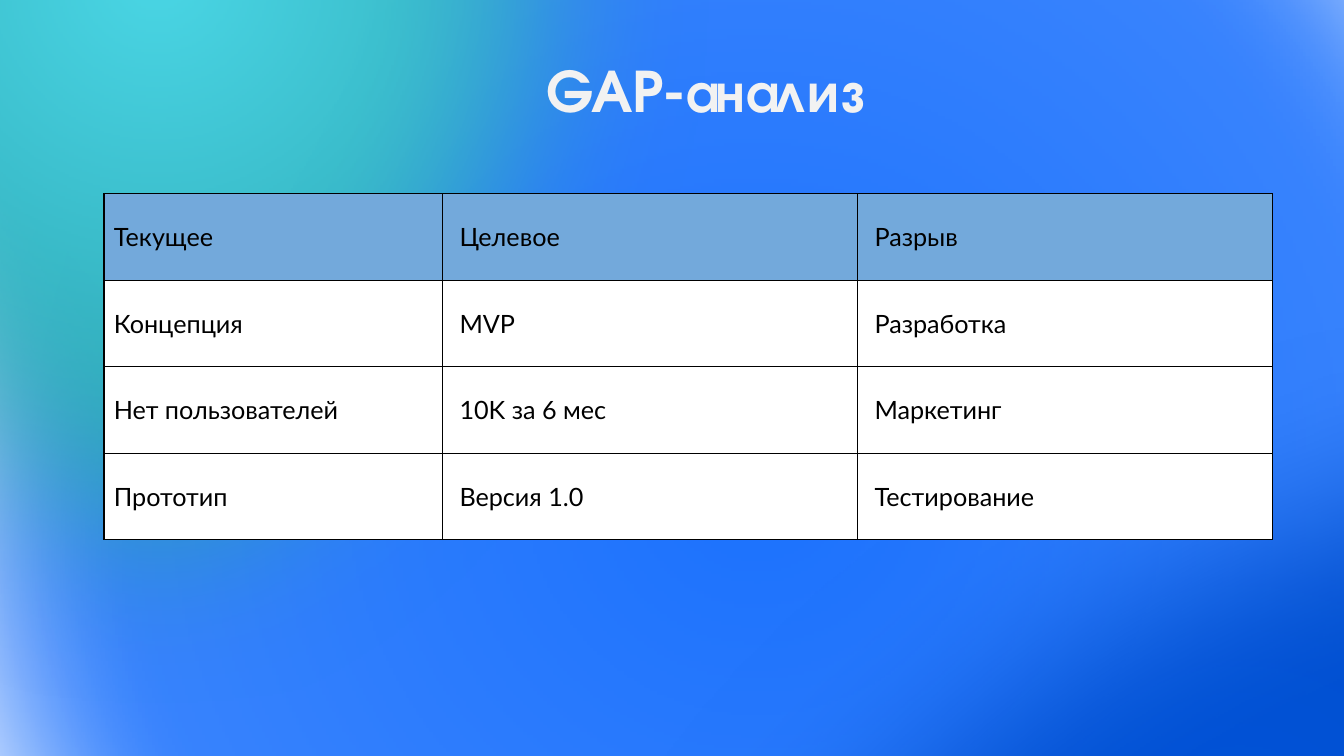
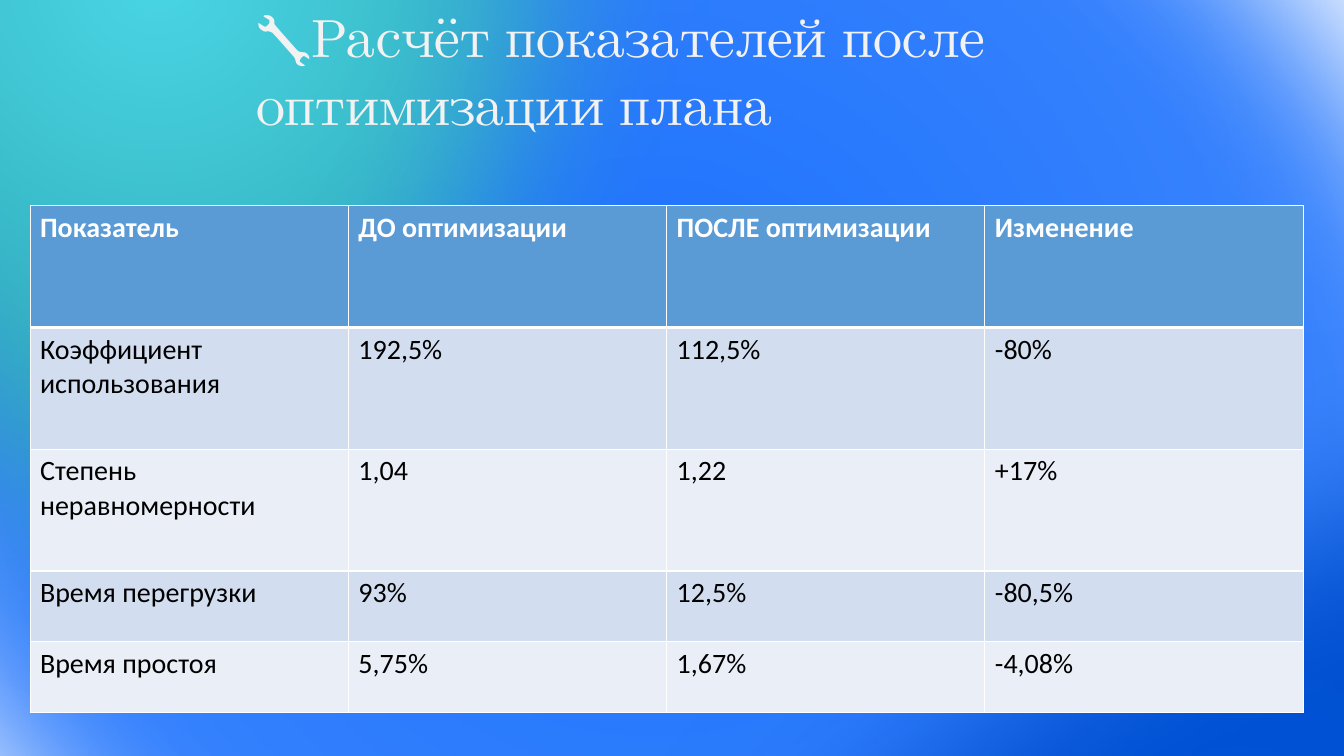
from lxml.etree import SubElement
from pptx import Presentation
from pptx.dml.color import RGBColor
from pptx.enum.shapes import MSO_SHAPE
from pptx.enum.text import MSO_ANCHOR, MSO_AUTO_SIZE, PP_ALIGN
from pptx.oxml import parse_xml
from pptx.oxml.ns import nsdecls, qn
from pptx.util import Cm, Pt

COLORS = {
    "title": "F2F2F2", "white": "FFFFFF", "black": "000000",
    "gap_head": "73A9DB", "plan_head": "5B9BD5",
    "band_dark": "D2DEEF", "band_light": "EAEFF7",
    "blue": "1B71FD", "blue_edge": "72A7FE",
    "teal": "4AD6E5", "teal_edge": "137C87",
    "navy": "156EFF", "navy_mid": "0153D9", "navy_edge": "0046B8",
}
TITLE_FONT = {"name": "TeX Gyre Adventor", "size": Pt(40), "bold": True}
SOFT_EDGE = Cm(4.4)

BLUE_STOPS = [(0, "blue"), (100, "blue_edge")]
# Box (left, top, width, height in cm), rotation, gradient stops
TEAL_GLOW = ((-15.7, -15.16, 39.37, 29.06), 270,
             [(0, "teal"), (100, "teal_edge")])
NAVY_GLOW = ((11.86, 9.19, 38.81, 25.25), 331.6,
             [(0, "navy"), (0, "navy_mid"), (85, "navy_edge")])

GAP_ROWS = [
    ["Текущее", "Целевое", "Разрыв"],
    ["Концепция", "MVP", "Разработка"],
    ["Нет пользователей", "10K за 6 мес", "Маркетинг"],
    ["Прототип", "Версия 1.0", "Тестирование"],
]
PLAN_ROWS = [
    ["Показатель", "ДО оптимизации", "ПОСЛЕ оптимизации", "Изменение"],
    ["Коэффициент использования", "192,5%", "112,5%", "-80%"],
    ["Степень неравномерности", "1,04", "1,22", "+17%"],
    ["Время перегрузки", "93%", "12,5%", "-80,5%"],
    ["Время простоя", "5,75%", "1,67%", "-4,08%"],
]


def rgb(name):
    return RGBColor.from_string(COLORS[name])


def set_attrs(obj, values):
    for name, value in values.items():
        setattr(obj, name, value)


def format_font(font, values, color):
    set_attrs(font, values)
    font.color.rgb = rgb(color)


def add_glow(slide, box, rotation, stops):
    """Add an ellipse with a radial gradient and a soft edge."""
    sp = slide.shapes.add_shape(MSO_SHAPE.OVAL, *map(Cm, box))
    sp.rotation = rotation
    sp.line.fill.background()
    sp.shadow.inherit = False
    stop_xml = "".join(
        f'<a:gs pos="{pos * 1000}"><a:srgbClr val="{COLORS[color]}"/></a:gs>'
        for pos, color in stops)
    gradient = parse_xml(
        f'<a:gradFill {nsdecls("a")} rotWithShape="1"><a:gsLst>{stop_xml}</a:gsLst>'
        '<a:path path="circle"><a:fillToRect l="50000" t="50000" r="50000" b="50000"/>'
        '</a:path></a:gradFill>')
    props = sp._element.spPr
    props.find(qn("a:prstGeom")).addnext(gradient)
    SubElement(props.find(qn("a:effectLst")), qn("a:softEdge"), rad=str(SOFT_EDGE))


def add_slide(prs, title, title_box, blue_box):
    slide = prs.slides.add_slide(prs.slide_layouts[5])
    for glow in ((blue_box, 25.8, BLUE_STOPS), TEAL_GLOW, NAVY_GLOW):
        add_glow(slide, *glow)
    sp = slide.shapes.title
    slide.shapes._spTree.append(sp._element)  # bring the title to the front
    set_attrs(sp, dict(zip(("left", "top", "width", "height"), map(Cm, title_box))))
    tf = sp.text_frame
    set_attrs(tf, {"text": title, "word_wrap": True,
                   "auto_size": MSO_AUTO_SIZE.SHAPE_TO_FIT_TEXT,
                   "vertical_anchor": MSO_ANCHOR.TOP})
    p = tf.paragraphs[0]
    p.alignment = PP_ALIGN.LEFT
    for r in p.runs:
        format_font(r.font, TITLE_FONT, "title")
    return slide


def set_borders(cell, color, widths):
    """Draw the left, right, top and bottom borders, widths in points."""
    props = cell._tc.get_or_add_tcPr()
    for i, (side, width) in enumerate(zip("LRTB", widths)):
        props.insert(i, parse_xml(
            f'<a:ln{side} {nsdecls("a")} w="{Pt(width)}"><a:solidFill>'
            f'<a:srgbClr val="{COLORS[color]}"/></a:solidFill></a:ln{side}>'))


def add_table(slide, origin, rows, col_widths, row_heights, style):
    """Add a table; style holds fills, fonts, border and cell formats."""
    frame = slide.shapes.add_table(
        len(rows), len(col_widths), *map(Cm, origin),
        Cm(sum(col_widths)), Cm(sum(row_heights)))
    table = frame.table
    for column, width in zip(table.columns, col_widths):
        column.width = Cm(width)
    for row, height in zip(table.rows, row_heights):
        row.height = Cm(height)
    for i, texts in enumerate(rows):
        head = i == 0
        fill = style["head_fill"] if head else style["bands"][(i - 1) % len(style["bands"])]
        top = style["head_rule"] if i == 1 else 1
        bottom = style["head_rule"] if head else 1
        for j, text in enumerate(texts):
            cell = table.cell(i, j)
            cell.text = text
            set_attrs(cell, style["cell"])
            if j == 0:
                cell.margin_left = Cm(0.25)
            cell.fill.solid()
            cell.fill.fore_color.rgb = rgb(fill)
            set_borders(cell, style["border"], (1, 1, top, bottom))
            font = cell.text_frame.paragraphs[0].runs[0].font
            format_font(font, {**style["font"], "bold": head and style["head_bold"]},
                        style["head_color"] if head else "black")


def add_gap_slide(prs):
    slide = add_slide(prs, "GAP-анализ", (13.51, 1.3, 20.37, 1.96),
                      (-5.21, -14.66, 48.56, 53.64))
    style = {
        "head_fill": "gap_head", "head_color": "black", "head_bold": False,
        "head_rule": 1, "bands": ["white"], "border": "black",
        "font": {"name": "Lato", "size": Pt(18)},
        "cell": {"vertical_anchor": MSO_ANCHOR.MIDDLE,
                 "margin_left": Cm(0.43), "margin_right": Cm(0.43),
                 "margin_top": Cm(0.25), "margin_bottom": Cm(0.25)},
    }
    add_table(slide, (2.62, 4.88), GAP_ROWS, [8.53, 10.46, 10.46],
              [2.18] * len(GAP_ROWS), style)


def add_plan_slide(prs):
    slide = add_slide(prs, "🔧Расчёт показателей после\vоптимизации плана",
                      (6.2, -0.08, 29.06, 3.68), (-11.28, -14.22, 55.55, 48.26))
    style = {
        "head_fill": "plan_head", "head_color": "white", "head_bold": True,
        "head_rule": 3, "bands": ["band_dark", "band_light"], "border": "white",
        "font": {"name": "Calibri", "size": Pt(20)},
        "cell": {"vertical_anchor": MSO_ANCHOR.TOP},
    }
    add_table(slide, (0.76, 5.18), PLAN_ROWS, [8.02] * 4,
              [3.07] * 3 + [1.78] * 2, style)


def main():
    prs = Presentation()
    set_attrs(prs, {"slide_width": Cm(33.87), "slide_height": Cm(19.05)})
    add_gap_slide(prs)
    add_plan_slide(prs)
    prs.save("out.pptx")


if __name__ == "__main__":
    main()
